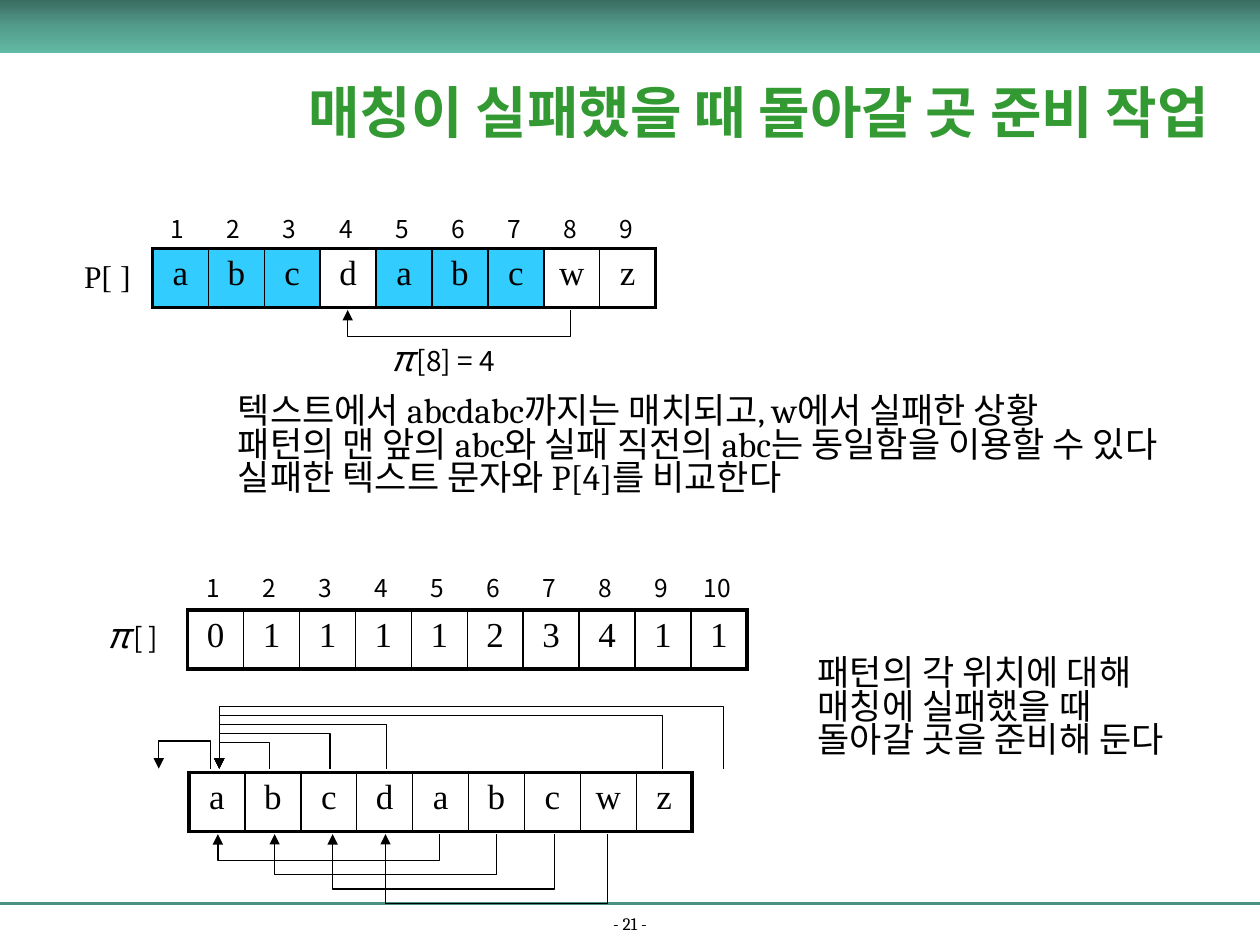
from copy import deepcopy

from lxml import etree
from pptx import Presentation
from pptx.dml.color import RGBColor
from pptx.enum.shapes import MSO_CONNECTOR, MSO_SHAPE
from pptx.enum.text import MSO_ANCHOR, MSO_AUTO_SIZE, PP_ALIGN
from pptx.oxml import parse_xml
from pptx.oxml.ns import nsdecls, qn
from pptx.util import Inches, Pt

COLORS = {"black": "000000", "title": "339933", "match": "33CCFF", "rule": "4C9282",
          "band_top": "3A6D62", "band_mid": "539C8B", "band_end": "62B9A5"}
RGB = {name: RGBColor.from_string(value) for name, value in COLORS.items()}
SANS, SERIF, BODY = "Noto Sans CJK KR", "Times New Roman", "Cambria"
CELL_W, ROW_H = 0.444, 0.47

prs = Presentation()
prs.slide_width, prs.slide_height = Inches(10), Inches(7.5)
s = prs.slides.add_slide(prs.slide_layouts[5])


def add_text(x, y, w, h, lines, size, font, align=PP_ALIGN.LEFT, wrap=False, spacing=None):
    """Add a text box; a line is a string or a list of (text, size, italic) runs."""
    tf = s.shapes.add_textbox(Inches(x), Inches(y), Inches(w), Inches(h)).text_frame
    tf.word_wrap = wrap
    for i, line in enumerate(lines):
        p = tf.paragraphs[0] if i == 0 else tf.add_paragraph()
        p.alignment = align
        if spacing:
            p.line_spacing = spacing
        p.font.size, p.font.name = Pt(size), font
        p.font.color.rgb = RGB["black"]
        if isinstance(line, str):
            p.add_run().text = line
            continue
        for text, run_size, italic in line:
            r = p.add_run()
            r.text = text
            r.font.size, r.font.italic = Pt(run_size), italic
    return tf


def add_row(x, y, values, matched=()):
    """Add a one-row table with a thick frame and thin inner lines."""
    n = len(values)
    table = s.shapes.add_table(1, n, Inches(x), Inches(y),
                               Inches(CELL_W * n), Inches(ROW_H)).table
    table.first_row = table.horz_banding = False
    table.rows[0].height = Inches(ROW_H)
    for i, value in enumerate(values):
        table.columns[i].width = Inches(CELL_W)
        cell = table.cell(0, i)
        cell.text = value
        p = cell.text_frame.paragraphs[0]
        p.alignment = PP_ALIGN.CENTER
        p.font.size, p.font.name = Pt(20), SERIF
        p.font.color.rgb = RGB["black"]
        widths = {"L": 1 if i else 2.25, "R": 1 if i < n - 1 else 2.25, "T": 2.25, "B": 2.25}
        for side, width in widths.items():
            cell._tc.get_or_add_tcPr().append(parse_xml(
                f'<a:ln{side} {nsdecls("a")} w="{Pt(width)}"><a:solidFill>'
                f'<a:srgbClr val="{COLORS["black"]}"/></a:solidFill></a:ln{side}>'))
        if i in matched:
            cell.fill.solid()
            cell.fill.fore_color.rgb = RGB["match"]
        else:
            cell.fill.background()


# Title
title = s.shapes.title
title.left, title.top, title.width, title.height = map(Inches, (2.1, 0.49, 7.85, 0.78))
tf = title.text_frame
tf.text = "매칭이 실패했을 때 돌아갈 곳 준비 작업"
tf.vertical_anchor, tf.auto_size = MSO_ANCHOR.MIDDLE, MSO_AUTO_SIZE.NONE
p = tf.paragraphs[0]
p.alignment = PP_ALIGN.CENTER
p.font.size, p.font.name, p.font.bold = Pt(32), BODY, True
p.font.color.rgb = RGB["title"]

# Top band
band = s.shapes.add_shape(MSO_SHAPE.RECTANGLE, 0, 0, Inches(10), Inches(0.42))
band.shadow.inherit = False
band.line.fill.background()
band.fill.gradient()
band.fill.gradient_angle = 270
gs_list = band._element.spPr.find(".//" + qn("a:gsLst"))
gs_list.insert(1, deepcopy(gs_list[0]))
for stop, position, name in zip(band.fill.gradient_stops, (0, 0.5, 1),
                                ("band_top", "band_mid", "band_end")):
    stop.position, stop.color.rgb = position, RGB[name]

# Footer rule and page number
rule = s.shapes.add_connector(MSO_CONNECTOR.STRAIGHT, 0, Inches(7.17), Inches(10), Inches(7.17))
rule.line.width, rule.line.color.rgb = Pt(1.5), RGB["rule"]
etree.SubElement(rule._element.spPr, qn("a:effectLst"))
tf = add_text(0, 7.24, 10, 0.22, ["- 21 -"], 10, BODY, PP_ALIGN.CENTER, True, 0.8)
tf.vertical_anchor = MSO_ANCHOR.BOTTOM

# Pattern, failure table and the pattern again
add_row(1.21, 1.97, "abcdabcwz", (0, 1, 2, 4, 5, 6))
add_row(1.49, 4.84, "0111123411")
add_row(1.5, 6.13, "abcdabcwz")

# Index numbers above the cells
for first_center, y, count in ((1.41, 1.65, 9), (1.69, 4.5, 10)):
    for i in range(count):
        w = 0.31 if i < 9 else 0.42
        add_text(first_center + 0.445 * i - w / 2, y, w, 0.33, [str(i + 1)], 14, SANS,
                 PP_ALIGN.CENTER)

# Row labels
pi = [("π", 20, True), (" ", 9, True)]
add_text(0.57, 1.99, 0.66, 0.4, ["P[ ]"], 18, SERIF, wrap=True)
add_text(0.75, 4.82, 0.73, 0.43, [pi + [("[ ]", 16, False)]], 16, SANS)
add_text(3, 2.62, 1.2, 0.43, [pi + [("[8] = 4", 16, False)]], 16, SANS)

# Return arrows: from x, to x, y at the cells, y of the turn
arrows = [(4.53, 2.76, 2.46, 2.67), (1.67, 1.26, 6.1, 5.88)]
arrows += [(x, x - 1.76, 6.62, 6.83 + 0.113 * i)
           for i, x in enumerate((3.49, 3.94, 4.4, 4.82))]
arrows += [(x, 1.74, 6.1, 5.89 - 0.07 * i)
           for i, x in enumerate((2.14, 2.62, 3.07, 5.26, 5.74))]
for start, end, y, turn in arrows:
    path = s.shapes.build_freeform(Inches(start), Inches(y))
    path.add_line_segments([(Inches(a), Inches(b)) for a, b in
                            ((start, turn), (end, turn), (end, y))], close=False)
    arrow = path.convert_to_shape()
    arrow.shadow.inherit = False
    arrow.fill.background()
    arrow.line.width, arrow.line.color.rgb = Pt(0.75), RGB["black"]
    etree.SubElement(arrow.line._get_or_add_ln(), qn("a:tailEnd"), type="triangle")

# Explanations
add_text(1.79, 3.1, 8.06, 1.03,
         ["텍스트에서 abcdabc까지는 매치되고, w에서 실패한 상황",
          "패턴의 맨 앞의 abc와 실패 직전의 abc는 동일함을 이용할 수 있다",
          "실패한 텍스트 문자와 P[4]를 비교한다"], 20, BODY, spacing=0.8)
add_text(6.39, 5.18, 3.19, 1.03,
         ["패턴의 각 위치에 대해", "매칭에 실패했을 때", "돌아갈 곳을 준비해 둔다"],
         20, BODY, spacing=0.8)

prs.save("out.pptx")
